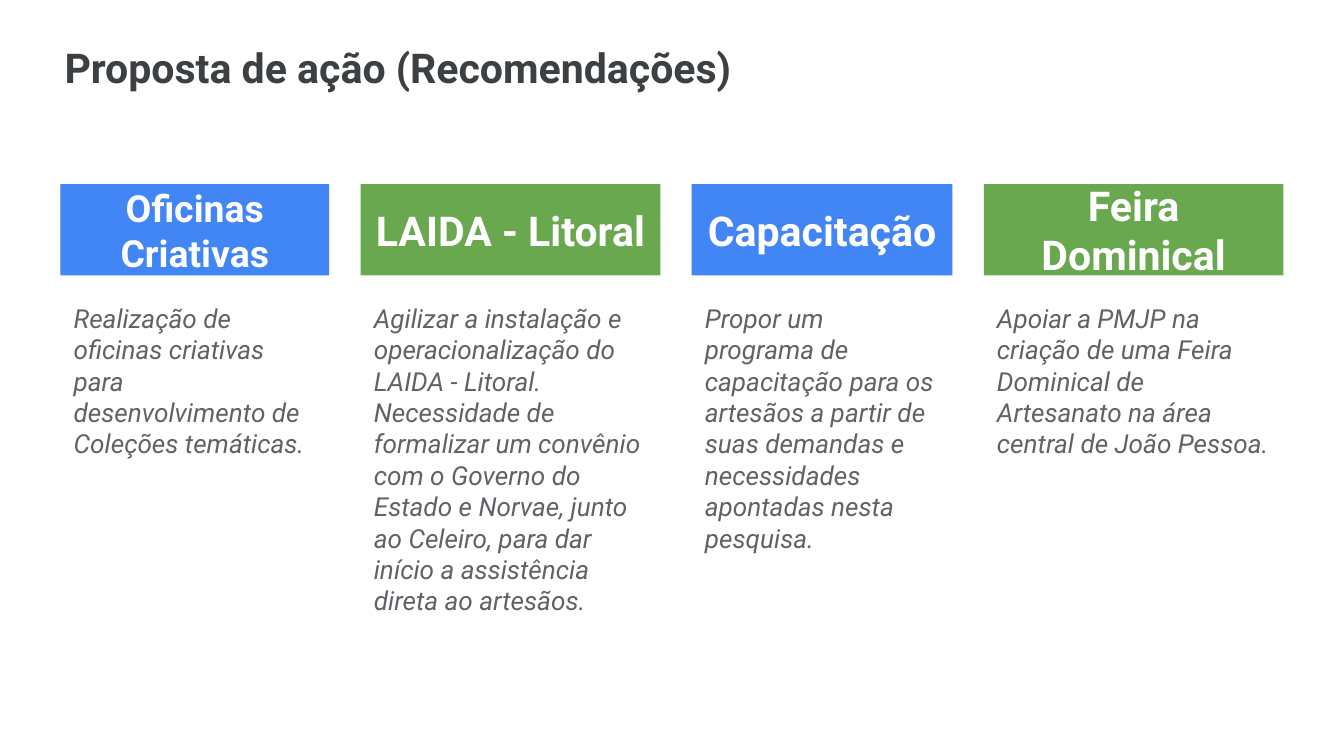
"""Builds a slide with four recommended actions in columns."""
from pptx import Presentation
from pptx.dml.color import RGBColor
from pptx.enum.shapes import MSO_SHAPE as Shape
from pptx.enum.text import MSO_ANCHOR as Anchor, MSO_AUTO_SIZE as AutoSize, PP_ALIGN as Align
from pptx.util import Inches, Pt

BLUE = RGBColor(0x42, 0x85, 0xF4)
GREEN = RGBColor(0x6A, 0xA8, 0x4F)
WHITE = RGBColor(0xFF, 0xFF, 0xFF)
DARK = RGBColor(0x3C, 0x40, 0x43)
GRAY = RGBColor(0x5F, 0x63, 0x68)

GRID_COLS = 100
LEFT, RIGHT = 4.5, 95.5
HEADER_TOP, HEADER_HEIGHT = 13.7, 6.8
BODY_TOP, BODY_HEIGHT = 21.5, 26.7

ACTIONS = [
    ("Oficinas Criativas", 20, BLUE, 20,
     "Realização de oficinas criativas para desenvolvimento de Coleções temáticas."),
    ("LAIDA - Litoral", 22, GREEN, 22.3,
     "Agilizar a instalação e operacionalização do LAIDA - Litoral. "
     "Necessidade de formalizar um convênio com o Governo do Estado e Norvae, "
     "junto ao Celeiro, para dar início a assistência direta ao artesãos."),
    ("Capacitação", 22, BLUE, 19.4,
     "Propor um programa de capacitação para os artesãos a partir de suas "
     "demandas e necessidades apontadas nesta pesquisa."),
    ("Feira Dominical", 22, GREEN, 22.3,
     "Apoiar a PMJP na criação de uma Feira Dominical de Artesanato na área "
     "central de João Pessoa."),
]


def write(sp, text, size, color, bold=False, italic=False, align=Align.LEFT,
          anchor=Anchor.TOP, inset=0.1, spacing=1.0):
    """Fill a shape with one formatted paragraph."""
    tf = sp.text_frame
    tf.word_wrap = True
    tf.auto_size = AutoSize.NONE
    tf.vertical_anchor = anchor
    tf.margin_left = tf.margin_right = tf.margin_top = tf.margin_bottom = Inches(inset)
    p = tf.paragraphs[0]
    p.alignment, p.line_spacing = align, spacing
    r = p.add_run()
    r.text = text
    font = r.font
    font.name, font.size, font.bold, font.italic = "Roboto", Pt(size), bold, italic
    font.color.rgb = color


class Deck:
    """Holds the grid and the current slide, and draws its elements."""

    def __init__(self, prs):
        """Add a slide with a title placeholder."""
        self.cell = prs.slide_width / GRID_COLS
        self.slide = prs.slides.add_slide(prs.slide_layouts[5])

    def box(self, *cells):
        """Turn grid columns and rows into slide lengths."""
        return [round(n * self.cell) for n in cells]

    def title(self, text, *cells):
        """Place and write the title."""
        sp = self.slide.shapes.title
        sp.left, sp.top, sp.width, sp.height = self.box(*cells)
        write(sp, text, 22, DARK, bold=True, inset=0.02, spacing=0.9)

    def header(self, group, text, size, fill, *cells):
        """Draw a coloured column header."""
        sp = group.shapes.add_shape(Shape.RECTANGLE, *self.box(*cells))
        sp.shadow.inherit = False
        sp.fill.solid()
        sp.fill.fore_color.rgb = fill
        sp.line.fill.background()
        write(sp, text, size, WHITE, bold=True, align=Align.CENTER, anchor=Anchor.MIDDLE)

    def description(self, group, text, *cells):
        """Add the text below a header."""
        sp = group.shapes.add_textbox(*self.box(*cells))
        write(sp, text, 14, GRAY, italic=True)

    def action(self, left, width, name, size, fill, text):
        """Group a header with its description."""
        group = self.slide.shapes.add_group_shape()
        self.header(group, name, size, fill, left, HEADER_TOP, width, HEADER_HEIGHT)
        self.description(group, text, left, BODY_TOP, width, BODY_HEIGHT)


def main():
    """Build and save the slide."""
    prs = Presentation()
    prs.slide_width = Inches(10)
    prs.slide_height = prs.slide_width * 9 // 16
    deck = Deck(prs)
    deck.title("Proposta de ação (Recomendações)", 4.6, 3.4, 85.3, 4.5)
    total = sum(width for _, _, _, width, _ in ACTIONS)
    gap = (RIGHT - LEFT - total) / (len(ACTIONS) - 1)
    left = LEFT
    for name, size, fill, width, text in ACTIONS:
        deck.action(left, width, name, size, fill, text)
        left += width + gap
    prs.save("out.pptx")


if __name__ == "__main__":
    main()
